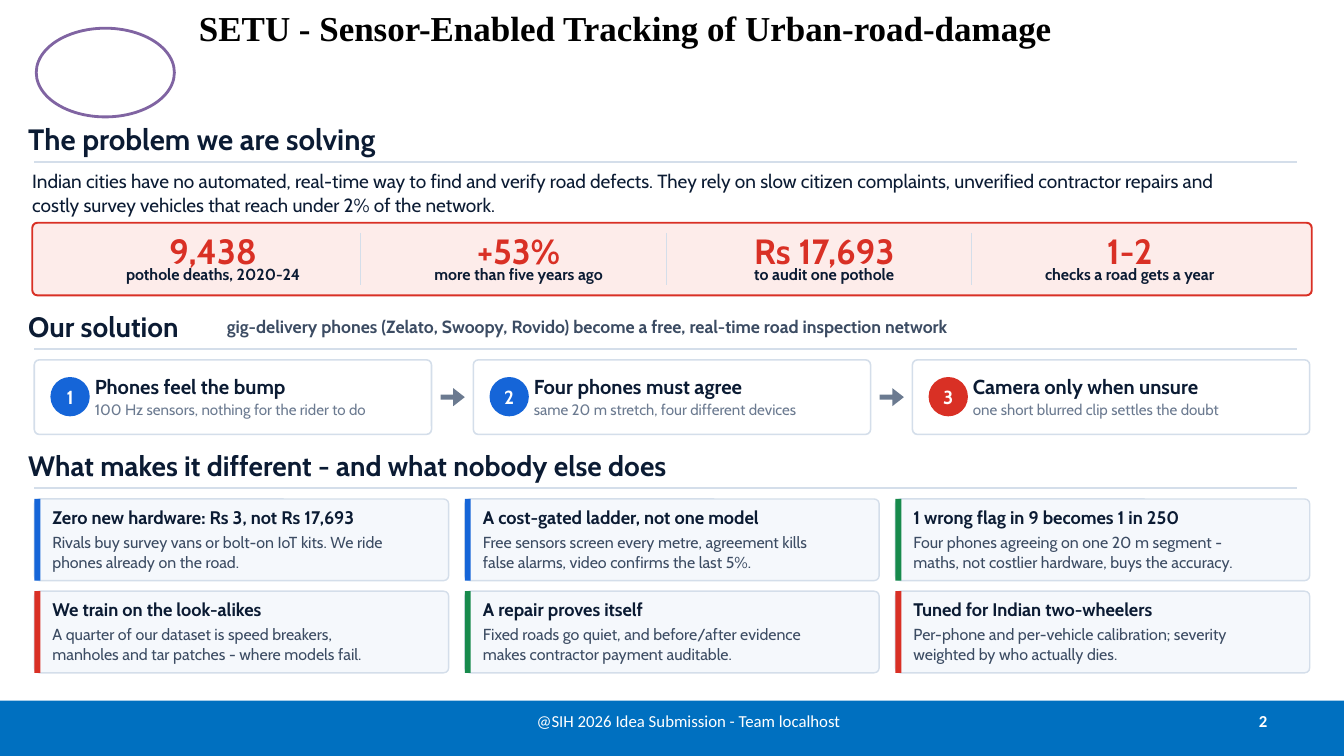
from dataclasses import dataclass

from lxml.etree import SubElement
from pptx import Presentation
from pptx.dml.color import RGBColor
from pptx.enum.shapes import MSO_CONNECTOR, MSO_SHAPE
from pptx.enum.text import MSO_ANCHOR, PP_ALIGN
from pptx.oxml.ns import qn
from pptx.util import Inches, Pt


@dataclass(frozen=True)
class Theme:
    """Colours, fonts and type sizes of the slide."""
    white: str = "FFFFFF"
    black: str = "000000"
    ink: str = "0B1B33"
    slate: str = "3C4C63"
    grey: str = "6B7A90"
    border: str = "D4DEEA"
    blue: str = "1565D8"
    green: str = "178A4C"
    red: str = "D93025"
    blush: str = "FDECEA"
    mist: str = "F5F8FC"
    footer: str = "0070C0"
    oval_ring: str = "8064A2"
    body_font: str = "Cabin"
    footer_font: str = "Calibri"
    title_font: str = "Times New Roman"
    title: float = 25
    first_heading: float = 21
    heading: float = 20
    lead: float = 13.6
    tagline: float = 12.6
    stat: float = 25
    number: float = 13.5
    step: float = 14.4
    step_note: float = 10.8
    card: float = 13
    small: float = 11.4
    footnote: float = 12


@dataclass(frozen=True)
class Stat:
    value: str
    label: str


@dataclass(frozen=True)
class Step:
    name: str
    note: str
    color: str


@dataclass(frozen=True)
class Card:
    claim: str
    detail: str
    color: str


@dataclass(frozen=True)
class Section:
    heading: str
    size: float
    center: float
    rule: float


T = Theme()
CORNER = 0.05

SECTIONS = [
    Section("The problem we are solving", T.first_heading, 1.375, 1.61),
    Section("Our solution", T.heading, 3.235, 3.46),
    Section("What makes it different - and what nobody else does", T.heading, 4.615, 4.84),
]
STATS = [
    Stat("9,438", "pothole deaths, 2020-24"),
    Stat("+53%", "more than five years ago"),
    Stat("Rs 17,693", "to audit one pothole"),
    Stat("1-2", "checks a road gets a year"),
]
STEPS = [
    Step("Phones feel the bump", "100 Hz sensors, nothing for the rider to do", T.blue),
    Step("Four phones must agree", "same 20 m stretch, four different devices", T.blue),
    Step("Camera only when unsure", "one short blurred clip settles the doubt", T.red),
]
CARDS = [
    Card("Zero new hardware: Rs 3, not Rs 17,693",
         "Rivals buy survey vans or bolt-on IoT kits. We ride phones already on the road.", T.blue),
    Card("A cost-gated ladder, not one model",
         "Free sensors screen every metre, agreement kills false alarms, "
         "video confirms the last 5%.", T.blue),
    Card("1 wrong flag in 9 becomes 1 in 250",
         "Four phones agreeing on one 20 m segment - maths, not costlier hardware, "
         "buys the accuracy.", T.green),
    Card("We train on the look-alikes",
         "A quarter of our dataset is speed breakers, manholes and tar patches - "
         "where models fail.", T.red),
    Card("A repair proves itself",
         "Fixed roads go quiet, and before/after evidence makes contractor payment auditable.",
         T.green),
    Card("Tuned for Indian two-wheelers",
         "Per-phone and per-vehicle calibration; severity weighted by who actually dies.", T.red),
]

deck = Presentation()
deck.slide_width, deck.slide_height = Inches(13.33), Inches(7.5)
slide = deck.slides.add_slide(deck.slide_layouts[6])


def write(frame, text: str, *, size: float, color: str = T.ink, bold: bool = False,
          font: str = T.body_font, align=PP_ALIGN.LEFT, leading: float | None = None) -> None:
    """Add a formatted run to the frame's paragraph, centred vertically."""
    frame.margin_left = frame.margin_right = frame.margin_top = frame.margin_bottom = 0
    frame.vertical_anchor = MSO_ANCHOR.MIDDLE
    paragraph = frame.paragraphs[0]
    paragraph.alignment = align
    if leading:
        paragraph.line_spacing = Pt(leading)
    run = paragraph.add_run()
    run.text = text
    run.font.size, run.font.bold, run.font.name = Pt(size), bold, font
    run.font.color.rgb = RGBColor.from_string(color)


def label(text: str, left: float, top: float, width: float, height: float, **style) -> None:
    box = slide.shapes.add_textbox(Inches(left), Inches(top), Inches(width), Inches(height))
    box.text_frame.word_wrap = True
    write(box.text_frame, text, **style)


def block(kind, left: float, top: float, width: float, height: float, fill: str,
          line: str | None = None, weight: float = 1):
    shape = slide.shapes.add_shape(kind, Inches(left), Inches(top), Inches(width), Inches(height))
    shape.shadow.inherit = False
    shape.fill.solid()
    shape.fill.fore_color.rgb = RGBColor.from_string(fill)
    if line:
        shape.line.color.rgb = RGBColor.from_string(line)
        shape.line.width = Pt(weight)
    else:
        shape.line.fill.background()
    if kind == MSO_SHAPE.ROUNDED_RECTANGLE:
        shape.adjustments[0] = CORNER / height
    return shape


def rule(x1: float, y1: float, x2: float, y2: float, weight: float) -> None:
    line = slide.shapes.add_connector(
        MSO_CONNECTOR.STRAIGHT, Inches(x1), Inches(y1), Inches(x2), Inches(y2))
    line.line.color.rgb = RGBColor.from_string(T.border)
    line.line.width = Pt(weight)
    SubElement(line._element.spPr, qn("a:effectLst"))


def draw_stat(index: int, stat: Stat) -> None:
    pitch = 3.03
    left = 0.6 + pitch * index
    if index:
        rule(left - 0.05, 2.31, left - 0.05, 2.83, 0.75)
    label(stat.value, left, 2.16, pitch, 0.66, size=T.stat, color=T.red, bold=True,
          align=PP_ALIGN.CENTER)
    label(stat.label, left, 2.57, pitch, 0.3, size=T.small, bold=True, align=PP_ALIGN.CENTER)


def draw_step(index: int, step: Step) -> None:
    left = 0.34 + 4.355 * index
    block(MSO_SHAPE.ROUNDED_RECTANGLE, left, 3.57, 3.94, 0.74, T.white, T.border, 1.1)
    number = block(MSO_SHAPE.OVAL, left + 0.16, 3.74, 0.39, 0.39, step.color)
    write(number.text_frame, str(index + 1), size=T.number, color=T.white, bold=True,
          align=PP_ALIGN.CENTER)
    label(step.name, left + 0.6, 3.64, 3.2, 0.38, size=T.step, bold=True)
    label(step.note, left + 0.6, 3.92, 3.2, 0.28, size=T.step_note, color=T.grey)
    if index < len(STEPS) - 1:
        arrow = block(MSO_SHAPE.RIGHT_ARROW, left + 4.03, 3.85, 0.24, 0.18, T.grey)
        arrow.adjustments[0], arrow.adjustments[1] = 0.29, 0.64


def draw_card(index: int, card: Card) -> None:
    row, column = divmod(index, 3)
    left, top = 0.34 + 4.27 * column, 4.95 + 0.915 * row
    block(MSO_SHAPE.ROUNDED_RECTANGLE, left, top, 4.11, 0.81, T.mist, T.border)
    block(MSO_SHAPE.RECTANGLE, left, top, 0.06, 0.81, card.color)
    label(card.claim, left + 0.18, top + 0.01, 3.8, 0.34, size=T.card, bold=True)
    label(card.detail, left + 0.18, top + 0.27, 3.4, 0.5, size=T.small, color=T.slate,
          leading=14.2)


def main() -> None:
    # Title and plain oval
    label("SETU - Sensor-Enabled Tracking of Urban-road-damage", 1.85, 0.03, 8.7, 0.48,
          size=T.title, color=T.black, bold=True, font=T.title_font, align=PP_ALIGN.CENTER)
    block(MSO_SHAPE.OVAL, 0.36, 0.28, 1.37, 0.88, T.white, T.oval_ring, 2)

    # Section headings
    for section in SECTIONS:
        label(section.heading, 0.28, section.center - 0.27, 8, 0.54, size=section.size, bold=True)
        rule(0.34, section.rule, 12.86, section.rule, 1.4)

    # Problem
    label("Indian cities have no automated, real-time way to find and verify road defects. "
          "They rely on slow citizen complaints, unverified contractor repairs and "
          "costly survey vehicles that reach under 2% of the network.",
          0.32, 1.66, 12, 0.5, size=T.lead, leading=17)
    block(MSO_SHAPE.ROUNDED_RECTANGLE, 0.32, 2.21, 12.69, 0.72, T.blush, T.red, 1.4)
    for index, stat in enumerate(STATS):
        draw_stat(index, stat)

    # Solution
    label("gig-delivery phones (Zelato, Swoopy, Rovido) become a free, "
          "real-time road inspection network",
          2.25, 3.07, 9, 0.33, size=T.tagline, color=T.slate, bold=True)
    for index, step in enumerate(STEPS):
        draw_step(index, step)

    # Differentiators
    for index, card in enumerate(CARDS):
        draw_card(index, card)

    # Footer
    block(MSO_SHAPE.RECTANGLE, 0, 6.95, 13.33, 0.55, T.footer)
    label("@SIH 2026 Idea Submission - Team localhost", 5.08, 6.95, 3.5, 0.4, size=T.footnote,
          color=T.white, font=T.footer_font, align=PP_ALIGN.CENTER)
    label("2", 9.56, 6.95, 3.01, 0.4, size=T.footnote, color=T.white, bold=True,
          font=T.footer_font, align=PP_ALIGN.RIGHT)

    deck.save("out.pptx")


if __name__ == "__main__":
    main()
